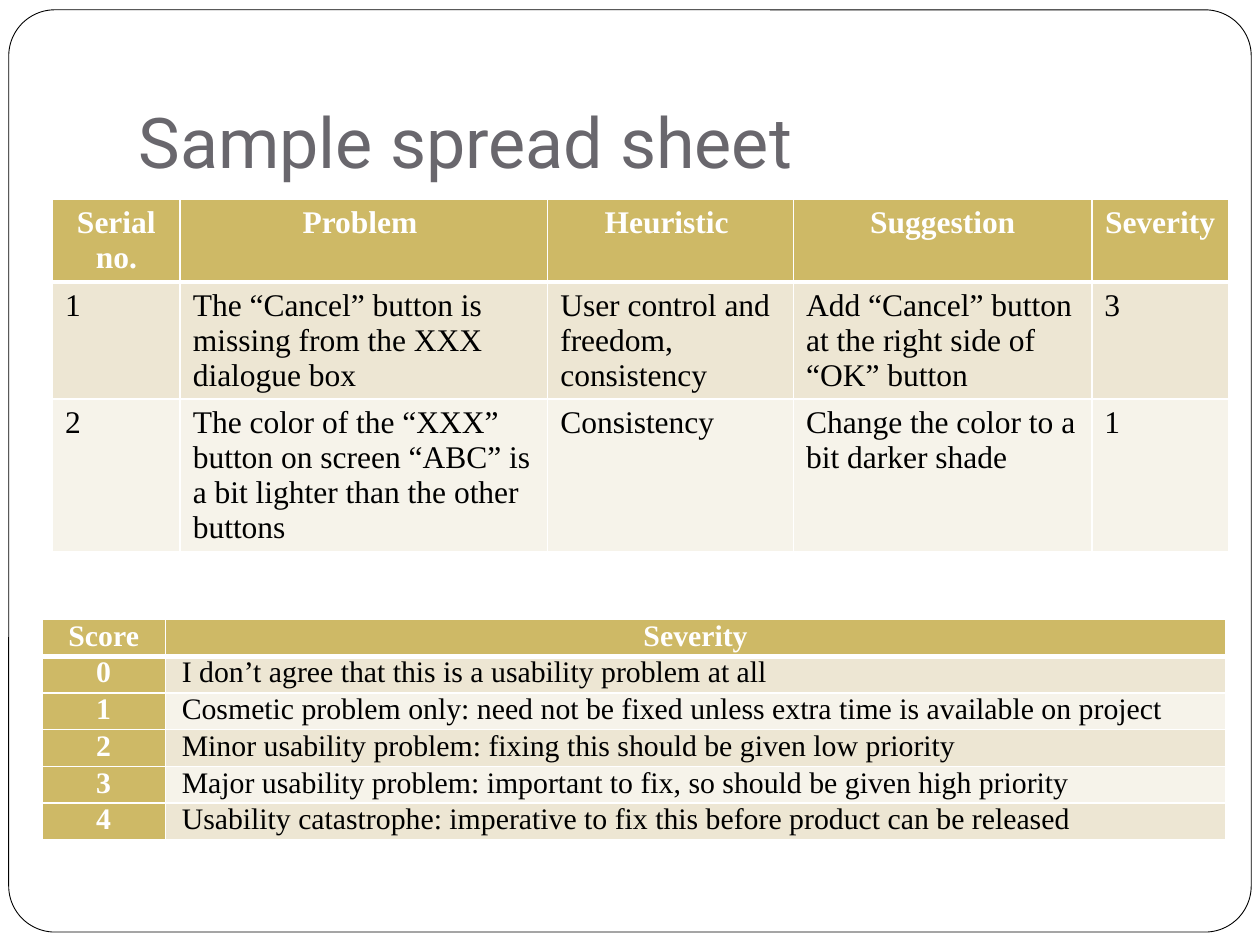
from dataclasses import dataclass
from lxml.etree import SubElement
from pptx import Presentation
from pptx.dml.color import RGBColor
from pptx.enum.shapes import MSO_SHAPE
from pptx.enum.text import MSO_ANCHOR, MSO_AUTO_SIZE, PP_ALIGN
from pptx.oxml.ns import qn
from pptx.util import Pt


@dataclass(frozen=True)
class Theme:
    title_font: str = "Roboto"
    table_font: str = "Times New Roman"
    title_size: int = 40
    problem_size: int = 18
    score_size: int = 17
    title_color: str = "69676D"
    text: str = "000000"
    white: str = "FFFFFF"
    accent: str = "CEB966"
    bands: tuple = ("EDE6D3", "F6F3EA")


def apply(target, values):
    for name, value in values.items():
        setattr(target, name, value)


def set_font(font, name, size, color, bold=False):
    apply(font, {"name": name, "size": Pt(size), "bold": bold})
    font.color.rgb = RGBColor.from_string(color)


def set_borders(cell, color, widths):
    """Draw the left, right, top and bottom lines, with widths in points."""
    properties = cell._tc.get_or_add_tcPr()
    for index, (side, width) in enumerate(zip("LRTB", widths)):
        line = SubElement(properties, qn(f"a:ln{side}"), w=str(Pt(width)))
        fill = SubElement(line, qn("a:solidFill"))
        SubElement(fill, qn("a:srgbClr"), val=color)
        properties.insert(index, line)


class SlideBuilder:
    def __init__(self, page, theme):
        self.page = page
        self.theme = theme

    def title(self, text, left, top, width, height):
        box = self.page.shapes.title
        apply(box, {"left": Pt(left), "top": Pt(top),
                    "width": Pt(width), "height": Pt(height)})
        frame = box.text_frame
        frame.text = text
        apply(frame, {"word_wrap": True, "auto_size": MSO_AUTO_SIZE.NONE,
                      "vertical_anchor": MSO_ANCHOR.BOTTOM,
                      "margin_left": Pt(7.2), "margin_right": Pt(7.2),
                      "margin_top": Pt(3.6), "margin_bottom": Pt(7.2)})
        para = frame.paragraphs[0]
        para.alignment = PP_ALIGN.LEFT
        set_font(para.runs[0].font, self.theme.title_font,
                 self.theme.title_size, self.theme.title_color)

    def border_frame(self, left, top, width, height):
        """Place the rounded page outline behind the title."""
        outline = self.page.shapes.add_shape(
            MSO_SHAPE.ROUNDED_RECTANGLE, Pt(left), Pt(top), Pt(width), Pt(height))
        outline.adjustments[0] = 0.05
        outline.shadow.inherit = False
        outline.fill.solid()
        outline.fill.fore_color.rgb = RGBColor.from_string(self.theme.white)
        outline.line.color.rgb = RGBColor.from_string(self.theme.text)
        outline.line.width = Pt(0.5)
        self.page.shapes.title._element.addprevious(outline._element)

    def table(self, rows, left, top, widths, heights, size,
              margins=(7.2, 3.6), header_column=False):
        """Add a banded table; margins are (horizontal, vertical)."""
        table = self.page.shapes.add_table(
            len(rows), len(widths), Pt(left), Pt(top),
            Pt(sum(widths)), Pt(sum(heights))).table
        table.first_col = header_column
        for column, width in zip(table.columns, widths):
            column.width = Pt(width)
        for row, height in zip(table.rows, heights):
            row.height = Pt(height)
        for r, row in enumerate(rows):
            for c, text in enumerate(row):
                header = r == 0 or (header_column and c == 0)
                self.table_cell(table.cell(r, c), text, r, header, size, margins)

    def table_cell(self, cell, text, row, header, size, margins):
        theme = self.theme
        horizontal, vertical = margins
        cell.text = text
        apply(cell, {"margin_left": Pt(horizontal), "margin_right": Pt(horizontal),
                     "margin_top": Pt(vertical), "margin_bottom": Pt(vertical),
                     "vertical_anchor": MSO_ANCHOR.TOP})
        color = theme.accent if header else theme.bands[(row - 1) % 2]
        cell.fill.solid()
        cell.fill.fore_color.rgb = RGBColor.from_string(color)
        set_borders(cell, theme.white,
                    (1, 1, 3 if row == 1 else 1, 3 if row == 0 else 1))
        para = cell.text_frame.paragraphs[0]
        para.alignment = PP_ALIGN.CENTER if header else PP_ALIGN.LEFT
        set_font(para.runs[0].font, theme.table_font, size,
                 theme.white if header else theme.text, header)


PROBLEMS = [
    ("Serial no.", "Problem ", "Heuristic ", "Suggestion", "Severity "),
    ("1", "The “Cancel” button is missing from the XXX dialogue box",
     "User control and freedom, consistency",
     "Add “Cancel” button at the right side of “OK” button", "3"),
    ("2", "The color of the “XXX” button on screen “ABC” is a bit lighter "
     "than the other buttons",
     "Consistency", "Change the color to a bit darker shade", "1"),
]
SEVERITIES = [
    "I don’t agree that this is a usability problem at all",
    "Cosmetic problem only: need not be fixed unless extra time is available on project",
    "Minor usability problem: fixing this should be given low priority",
    "Major usability problem: important to fix, so should be given high priority",
    "Usability catastrophe: imperative to fix this before product can be released",
]


def main():
    theme = Theme()
    deck = Presentation()
    apply(deck, {"slide_width": Pt(720), "slide_height": Pt(540)})
    page = deck.slides.add_slide(deck.slide_layouts[5])
    builder = SlideBuilder(page, theme)
    builder.border_frame(5, 5.6, 710, 527)
    builder.title("Sample spread sheet", 72, 21.6, 612, 90)
    builder.table(PROBLEMS, 30, 114, (73, 210, 140.5, 170.5, 78),
                  (47, 67, 87), theme.problem_size)
    scores = [(str(score), text) for score, text in enumerate(SEVERITIES)]
    builder.table([("Score", "Severity"), *scores], 24, 354, (70.5, 606),
                  [21] * (len(scores) + 1), theme.score_size,
                  margins=(9.36, 0), header_column=True)
    deck.save("out.pptx")


if __name__ == "__main__":
    main()
